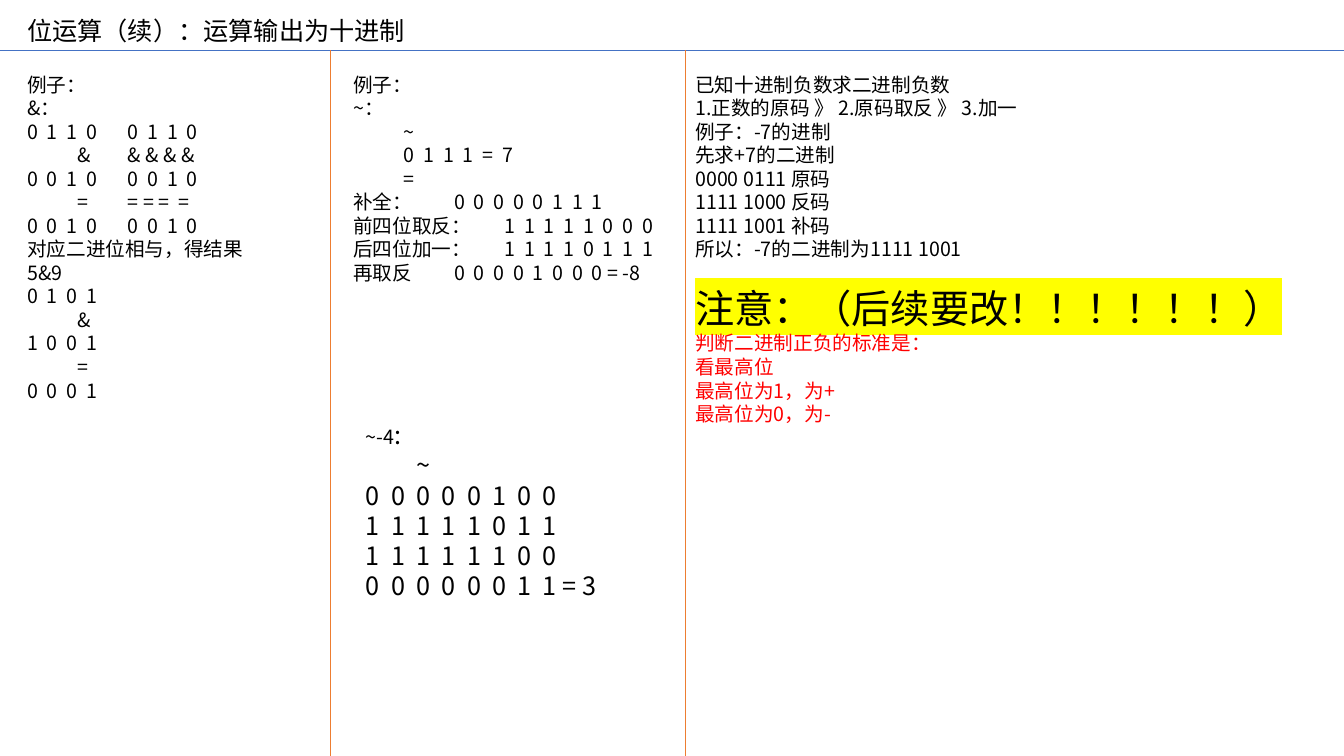
import pptx
import pptx.dml.color
import pptx.enum.shapes
import pptx.enum.text
import pptx.oxml
import pptx.oxml.ns
import pptx.util
from lxml import etree

Pt = pptx.util.Pt
qn = pptx.oxml.ns.qn
RGB = pptx.dml.color.RGBColor

BLACK = RGB(0x00, 0x00, 0x00)
RED = RGB(0xFF, 0x00, 0x00)
YELLOW = RGB(0xFF, 0xFF, 0x00)
BLUE = RGB(0x44, 0x72, 0xC4)
ORANGE = RGB(0xED, 0x7D, 0x31)

FONT = "Noto Sans CJK SC"
LINE_RATIO = 1.2
WIDTH, HEIGHT = 960, 540
RULE_Y = 36
COLUMN_TOP = 48.2
OPERATOR_STOPS = (18.6, 144)
PAIR_STOPS = (144,)

AND_LINES = [
    ("例子：",),
    ("&：",),
    ("0  1  1  0\t0  1  1  0", PAIR_STOPS),
    ("\t&\t& & & &", OPERATOR_STOPS),
    ("0  0  1  0\t0  0  1  0", PAIR_STOPS),
    ("\t=\t= = =  =", OPERATOR_STOPS),
    ("0  0  1  0\t0  0  1  0", PAIR_STOPS),
    ("对应二进位相与，得结果",),
    ("5&9",),
    ("0  1  0  1",),
    ("\t&", OPERATOR_STOPS),
    ("1  0  0  1",),
    ("\t=", OPERATOR_STOPS),
    ("0  0  0  1",),
]
NOT_LINES = [
    ("例子：",),
    ("~：",),
    ("\t~", (134.4,)),
    ("\t0  1  1  1  =  7", (115.8,)),
    ("\t=", (134.4,)),
    ("补全：\t0  0  0  0  0  1  1  1", (80,)),
    ("前四位取反：\t1  1  1  1  1  0  0  0", (87,)),
    ("后四位加一：\t1  1  1  1  0  1  1  1", (87,)),
    ("再取反\t0  0  0  0  1  0  0  0 = -8", (80,)),
]
NEGATIVE_LINES = [
    ("~-4",),
    ("\t~", (57,)),
    ("0  0  0  0  0  1  0  0",),
    ("1  1  1  1  1  0  1  1",),
    ("1  1  1  1  1  1  0  0",),
    ("0  0  0  0  0  0  1  1 = 3",),
]
CONVERSION_LINES = [
    ("已知十进制负数求二进制负数",),
    ("1.正数的原码 》 2.原码取反 》 3.加一",),
    ("例子：-7的进制",),
    ("先求+7的二进制",),
    ("0000 0111 原码",),
    ("1111 1000 反码",),
    ("1111 1001 补码",),
    ("所以：-7的二进制为1111 1001",),
    ("注意：（后续要改！！！！！！）",),
    ("判断二进制正负的标准是：",),
    ("看最高位",),
    ("最高位为1，为+",),
    ("最高位为0，为-",),
]


def style_run(run, size, color=BLACK, highlight=None):
    """Set size, colour, typeface and optional highlight of one run."""
    run.font.size = Pt(size)
    run.font.bold = False
    run.font.color.rgb = color
    run.font.name = FONT
    latin = run.font._element.find(qn("a:latin"))
    east_asian = etree.Element(qn("a:ea"), typeface=FONT)
    latin.addnext(east_asian)
    if highlight is not None:
        marker = etree.Element(qn("a:highlight"))
        etree.SubElement(marker, qn("a:srgbClr"), val=str(highlight))
        latin.addprevious(marker)


def style_paragraph(paragraph, size, stops=()):
    """Make a plain left paragraph with fixed leading and tab stops."""
    paragraph.alignment = pptx.enum.text.PP_ALIGN.LEFT
    paragraph.line_spacing = Pt(size * LINE_RATIO)
    paragraph.space_before = Pt(0)
    paragraph.space_after = Pt(0)
    properties = paragraph._p.get_or_add_pPr()
    properties.set("marL", "0")
    properties.set("indent", "0")
    etree.SubElement(properties, qn("a:buNone"))
    if stops:
        tab_list = etree.SubElement(properties, qn("a:tabLst"))
        for stop in stops:
            etree.SubElement(tab_list, qn("a:tab"), pos=str(Pt(stop)), algn="l")


def fill_region(region, box, lines, size, wrap=True):
    """Place a placeholder in its box and write its lines."""
    region.left, region.top, region.width, region.height = map(Pt, box)
    frame = region.text_frame
    frame.word_wrap = wrap
    frame.auto_size = pptx.enum.text.MSO_AUTO_SIZE.NONE
    frame.vertical_anchor = pptx.enum.text.MSO_ANCHOR.TOP
    frame.margin_left = frame.margin_right = Pt(7.2)
    frame.margin_top = frame.margin_bottom = Pt(3.6)
    frame.text = "\n".join(line[0] for line in lines)
    for paragraph, line in zip(frame.paragraphs, lines):
        style_paragraph(paragraph, size, *line[1:])
        for run in paragraph.runs:
            style_run(run, size)
    return frame.paragraphs


def fill_negative(region, box):
    """Write the inversion of -4 under a smaller heading."""
    heading = fill_region(region, box, NEGATIVE_LINES, 18)[0]
    heading.runs[0].font.size = Pt(14)
    colon = heading.add_run()
    colon.text = ":"
    style_run(colon, 18)


def fill_conversion(region, box):
    """Write the conversion steps, the highlighted warning and the red rule."""
    paragraphs = fill_region(region, box, CONVERSION_LINES, 14)
    warning = paragraphs[8]
    warning.space_before = Pt(14 * LINE_RATIO)
    warning.line_spacing = Pt(28 * LINE_RATIO)
    warning_run = warning.runs[0]
    warning_run.font._element.remove(warning_run.font._element.find(qn("a:ea")))
    style_run(warning_run, 28, highlight=YELLOW)
    for paragraph in paragraphs[9:]:
        paragraph.runs[0].font.color.rgb = RED


def add_rule(slide, start, end, color):
    """Draw one thin divider."""
    rule = slide.shapes.add_connector(
        pptx.enum.shapes.MSO_CONNECTOR.STRAIGHT, *map(Pt, start + end))
    rule.line.color.rgb = color
    rule.line.width = Pt(0.5)
    etree.SubElement(rule._element.spPr, qn("a:effectLst"))


def main():
    """Build and save the bit-operation slide."""
    deck = pptx.Presentation()
    deck.slide_width, deck.slide_height = Pt(WIDTH), Pt(HEIGHT)
    slide = deck.slides.add_slide(deck.slide_layouts.get_by_name("Comparison"))
    and_part, not_part, negative_part, conversion_part = list(slide.placeholders)[1:5]

    fill_region(slide.shapes.title, (12.2, 7.2, 285, 28.8),
                [("位运算（续）：运算输出为十进制",)], 18, wrap=False)
    fill_region(and_part, (12.2, COLUMN_TOP, 214, 245), AND_LINES, 14)
    fill_region(not_part, (245.2, COLUMN_TOP, 244, 160), NOT_LINES, 14)
    fill_negative(negative_part, (254.2, 296, 217, 138))
    fill_conversion(conversion_part, (489.4, COLUMN_TOP, 438.5, 262))

    add_rule(slide, (0, RULE_Y), (WIDTH, RULE_Y), BLUE)
    for divider_x in (236, 489.6):
        add_rule(slide, (divider_x, RULE_Y), (divider_x, HEIGHT), ORANGE)
    deck.save("out.pptx")


if __name__ == "__main__":
    main()
